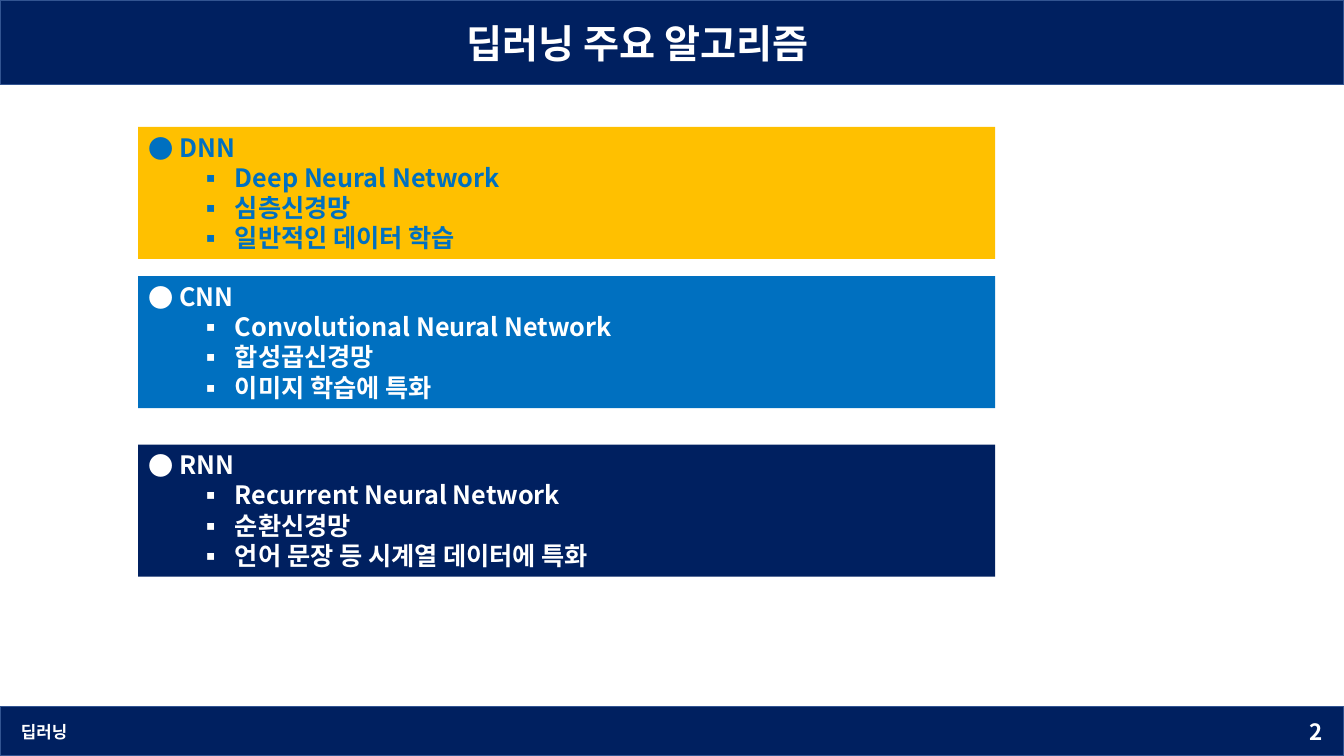
from dataclasses import dataclass

import pptx
import pptx.dml.color
import pptx.enum.shapes
import pptx.enum.text
import pptx.oxml.ns
import pptx.util
from lxml import etree

EMU_PER_PX = 9144


@dataclass(frozen=True)
class Theme:
    font: str = "Noto Sans CJK KR"
    navy: str = "002060"
    bar_edge: str = "325491"
    blue: str = "0070C0"
    amber: str = "FFC000"
    white: str = "FFFFFF"
    title_size: int = 28
    body_size: int = 18
    number_size: int = 16
    footer_size: int = 12
    line_height: float = 1.2


def px(length):
    return pptx.util.Emu(length * EMU_PER_PX)


def rgb(value):
    return pptx.dml.color.RGBColor.from_string(value)


class SlideBuilder:
    def __init__(self, slide, theme):
        self.slide = slide
        self.theme = theme

    def bar(self, top, height):
        shape = self.slide.shapes.add_shape(
            pptx.enum.shapes.MSO_SHAPE.RECTANGLE, 0, px(top), px(1333), px(height))
        shape.shadow.inherit = False
        shape.fill.solid()
        shape.fill.fore_color.rgb = rgb(self.theme.navy)
        shape.line.color.rgb = rgb(self.theme.bar_edge)
        shape.line.width = pptx.util.Pt(1)

    def place(self, shape, left, top, width, height):
        shape.left, shape.top = px(left), px(top)
        shape.width, shape.height = px(width), px(height)
        shape.element.getparent().append(shape.element)

    def frame(self, shape, anchor, wrap=True):
        frame = shape.text_frame
        frame.word_wrap = wrap
        frame.auto_size = pptx.enum.text.MSO_AUTO_SIZE.NONE
        frame.vertical_anchor = anchor
        frame.margin_left = frame.margin_right = px(10)
        frame.margin_top = frame.margin_bottom = px(5)
        return frame

    def style(self, paragraph, size, color, align=pptx.enum.text.PP_ALIGN.LEFT):
        paragraph.alignment = align
        paragraph.space_before = paragraph.space_after = pptx.util.Pt(0)
        paragraph.line_spacing = pptx.util.Pt(size * self.theme.line_height)
        paragraph.font.size = pptx.util.Pt(size)
        paragraph.font.bold = True
        paragraph.font.color.rgb = rgb(color)
        paragraph.font.name = self.theme.font
        defaults = paragraph._p.pPr.find(pptx.oxml.ns.qn("a:defRPr"))
        etree.SubElement(defaults, pptx.oxml.ns.qn("a:ea"), typeface=self.theme.font)

    def bullet(self, paragraph, symbol, margin, hanging):
        properties = paragraph._p.get_or_add_pPr()
        properties.set("marL", str(px(margin)))
        properties.set("indent", str(-px(hanging)))
        etree.SubElement(properties, pptx.oxml.ns.qn("a:buFont"), typeface=self.theme.font)
        etree.SubElement(properties, pptx.oxml.ns.qn("a:buChar"), char=symbol)

    def title(self, text, left, top, width, height):
        shape = self.slide.shapes.title
        self.place(shape, left, top, width, height)
        frame = self.frame(shape, pptx.enum.text.MSO_ANCHOR.TOP, wrap=False)
        frame.text = text
        self.style(frame.paragraphs[0], self.theme.title_size, self.theme.white)

    def label(self, text, left, top, width, height, size, align):
        shape = self.slide.shapes.add_textbox(px(left), px(top), px(width), px(height))
        frame = self.frame(shape, pptx.enum.text.MSO_ANCHOR.MIDDLE)
        frame.text = text
        self.style(frame.paragraphs[0], size, self.theme.white, align)

    def algorithm(self, index, top, fill, color, heading, details):
        shape = self.slide.placeholders[index]
        self.place(shape, 137, top, 850, 131)
        shape.fill.solid()
        shape.fill.fore_color.rgb = rgb(fill)
        frame = self.frame(shape, pptx.enum.text.MSO_ANCHOR.TOP)
        frame.text = "\n".join([heading, *details])
        for paragraph in frame.paragraphs:
            if paragraph.text == heading:
                self.bullet(paragraph, "●", 31, 31)
            else:
                paragraph.level = 1
                self.bullet(paragraph, "▪", 86, 36)
            self.style(paragraph, self.theme.body_size, color)

    def remove_empty_placeholders(self):
        for shape in list(self.slide.placeholders):
            if not shape.text_frame.text:
                shape.element.getparent().remove(shape.element)


def main():
    theme = Theme()
    presentation = pptx.Presentation()
    presentation.slide_width, presentation.slide_height = px(1333), px(750)
    comparison_layout = presentation.slide_layouts[4]
    builder = SlideBuilder(presentation.slides.add_slide(comparison_layout), theme)

    builder.bar(0, 84)
    builder.bar(701, 49)
    builder.label("딥러닝", 11, 706, 450, 40, theme.footer_size, pptx.enum.text.PP_ALIGN.LEFT)
    builder.label("2", 1022, 706, 300, 40, theme.number_size, pptx.enum.text.PP_ALIGN.RIGHT)
    builder.title("딥러닝 주요 알고리즘", 453, 14, 401, 57)

    algorithms = [
        (126, theme.amber, theme.blue, "DNN",
         ["Deep Neural Network", "심층신경망", "일반적인 데이터 학습"]),
        (274, theme.blue, theme.white, "CNN",
         ["Convolutional Neural Network", "합성곱신경망", "이미지 학습에 특화"]),
        (441, theme.navy, theme.white, "RNN",
         ["Recurrent Neural Network", "순환신경망", "언어 문장 등 시계열 데이터에 특화"]),
    ]
    for index, algorithm in enumerate(algorithms, start=1):
        builder.algorithm(index, *algorithm)

    builder.remove_empty_placeholders()
    presentation.save("out.pptx")


if __name__ == "__main__":
    main()
